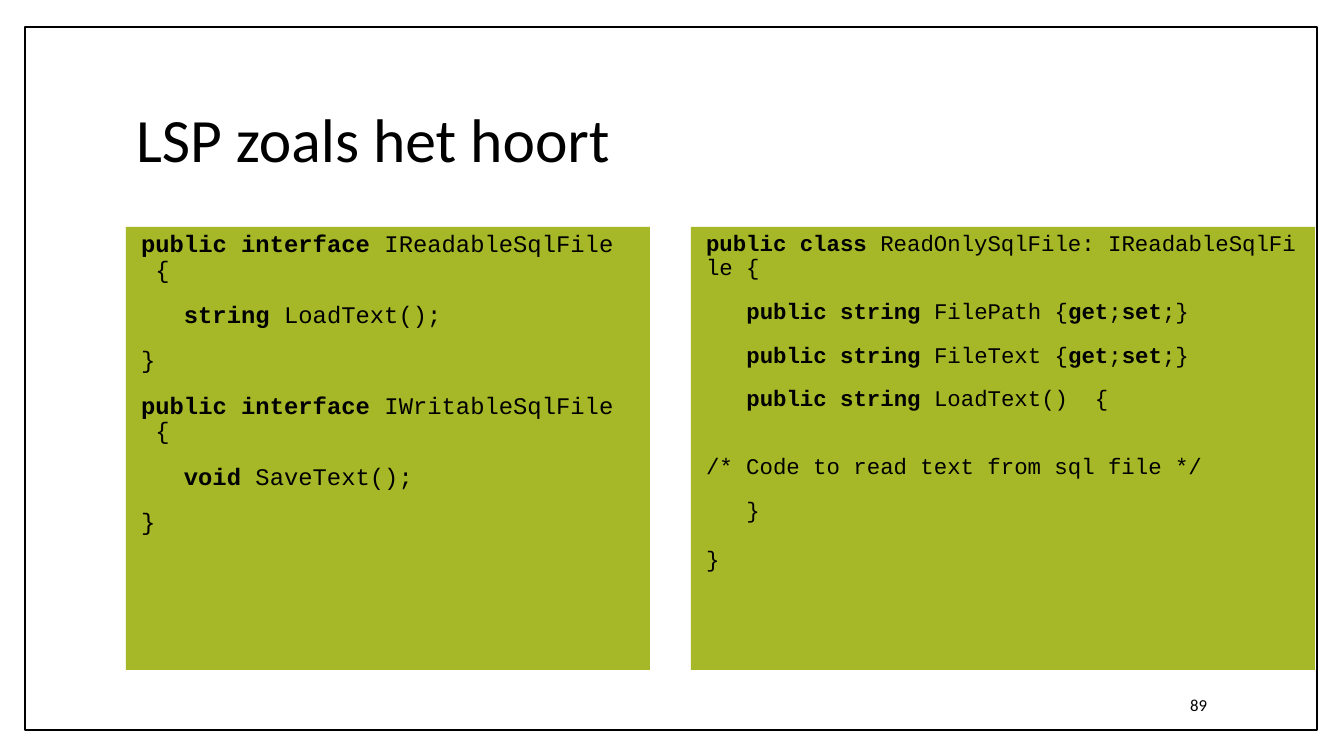
from pptx import Presentation
from pptx.dml.color import RGBColor
from pptx.enum.shapes import MSO_SHAPE
from pptx.enum.text import MSO_ANCHOR, MSO_AUTO_SIZE, PP_ALIGN
from pptx.util import Emu, Pt
from lxml import etree

RECT = MSO_SHAPE.RECTANGLE
TOP, MIDDLE = MSO_ANCHOR.TOP, MSO_ANCHOR.MIDDLE
LEFT, RIGHT = PP_ALIGN.LEFT, PP_ALIGN.RIGHT
NO_FIT = MSO_AUTO_SIZE.NONE

PX = 914400 / 100.8
NS = "http://schemas.openxmlformats.org/drawingml/2006/main"
NBSP = "\u00a0"
TWO_CONTENT = 3
COLORS = {"paper": "FFFFFF", "ink": "000000", "code": "A6B727"}

READ_WRITE = [
    (0, 14, "|public interface |IReadableSqlFile  {"),
    (3, 14, "|string |LoadText();"),
    (0, 14, "}"),
    (0, 14, "|public interface |IWritableSqlFile  {"),
    (3, 14, "|void |SaveText();"),
    (0, 14, "}"),
]
READ_ONLY = [
    (0, 14, "|public class |ReadOnlySqlFile: IReadableSqlFile {"),
    (3, 14, "|public string |FilePath {|get|;|set|;}"),
    (3, 14, "|public string |FileText {|get|;|set|;}"),
    (3, 14, "|public string |LoadText()  {"),
    (0, 31, "/* Code to read text from sql file */"),
    (3, 14, "}"),
    (0, 18, "}"),
]


def px(n):
    return Emu(round(n * PX))


def color(name):
    return RGBColor.from_string(COLORS[name])


def place(sp, x, y, w, h):
    sp.left, sp.top, sp.width, sp.height = px(x), px(y), px(w), px(h)


def add_run(p, text, size, font="Calibri", bold=False):
    r = p.add_run()
    r.text = text
    r.font.size, r.font.name, r.font.bold = Pt(size), font, bold
    r.font.color.rgb = color("ink")


def set_frame(sp, anchor):
    tf = sp.text_frame
    tf.word_wrap = True
    tf.auto_size = NO_FIT
    tf.vertical_anchor = anchor
    return tf


def add_label(sp, text, size, align):
    p = set_frame(sp, MIDDLE).paragraphs[0]
    p.alignment = align
    p.line_spacing = 0.9
    add_run(p, text, size)


def add_border(s, x, y, w, h):
    sp = s.shapes.add_shape(RECT, px(x), px(y), px(w), px(h))
    sp.shadow.inherit = False
    sp.fill.solid()
    sp.fill.fore_color.rgb = color("paper")
    sp.line.color.rgb = color("ink")
    sp.line.width = Pt(1)
    s.shapes.element.insert(2, sp.element)


def add_code(sp, lines, size):
    sp.fill.solid()
    sp.fill.fore_color.rgb = color("code")
    tf = set_frame(sp, TOP)
    for i, (indent, before, text) in enumerate(lines):
        p = tf.add_paragraph() if i else tf.paragraphs[0]
        p.alignment = LEFT
        p.line_spacing = 0.9
        p.space_before = Pt(before)
        pPr = p._p.get_or_add_pPr()
        pPr.set("marL", str(px(5) + Pt(indent * size * 0.6)))
        pPr.set("indent", "0")
        etree.SubElement(pPr, f"{{{NS}}}buNone")
        for j, part in enumerate(text.split("|")):
            if part:
                add_run(p, part.replace(" ", NBSP), size, "Courier New", j % 2 == 1)


def main():
    prs = Presentation()
    prs.slide_width, prs.slide_height = px(1344), px(756)
    s = prs.slides.add_slide(prs.slide_layouts[TWO_CONTENT])
    title, left, right = s.placeholders

    add_border(s, 25, 27, 1292, 703)
    place(title, 126, 68, 1089, 149)
    add_label(title, "LSP zoals het hoort", 44, LEFT)
    place(left, 126, 227, 524, 443)
    add_code(left, READ_WRITE, 17)
    place(right, 691, 227, 624, 443)
    add_code(right, READ_ONLY, 16)
    number = s.shapes.add_textbox(px(1028), px(686), px(189), px(40))
    add_label(number, "89", 12, RIGHT)

    prs.save("out.pptx")


main()
